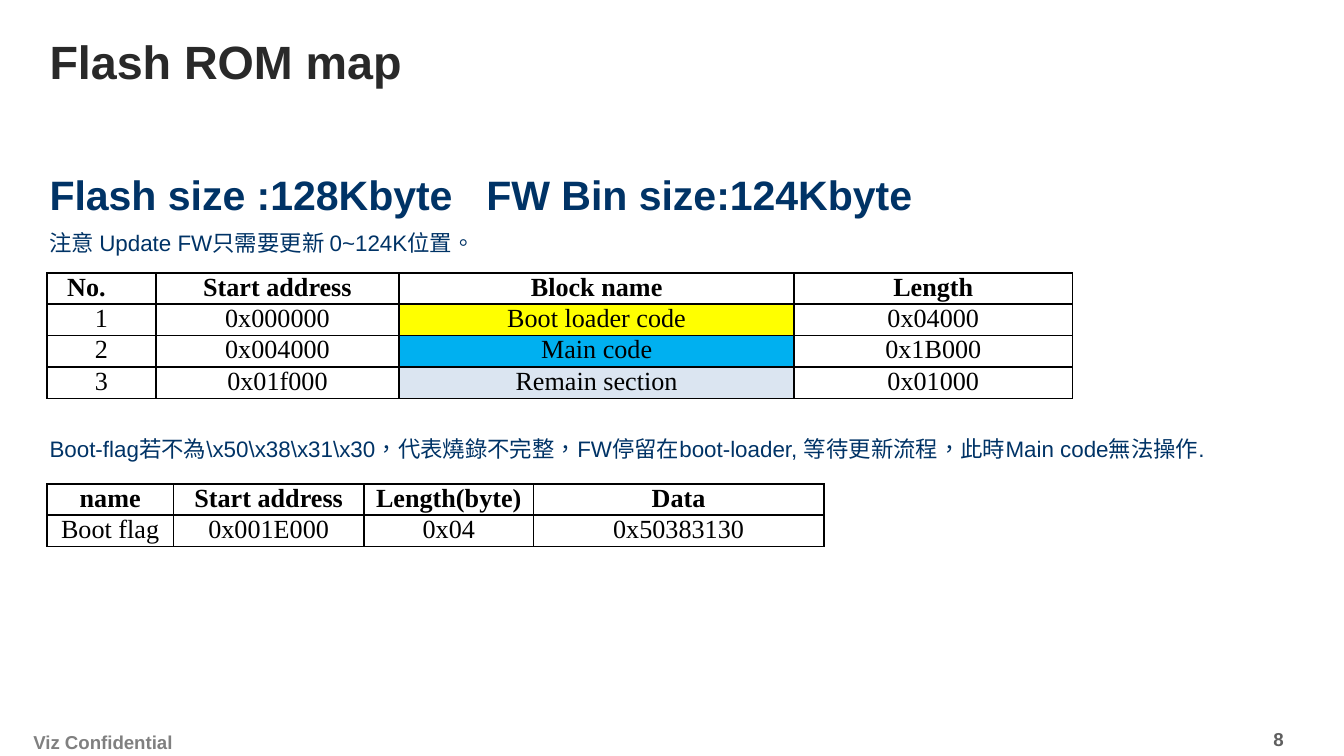
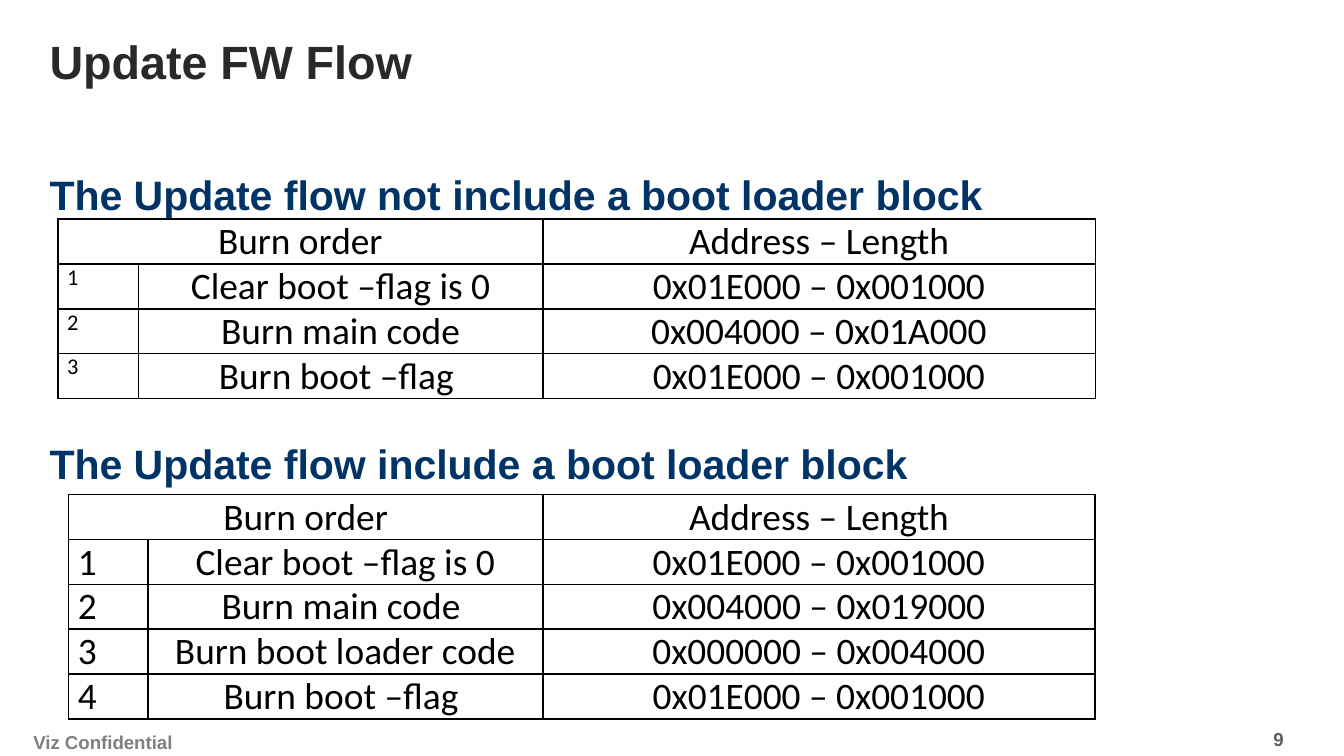
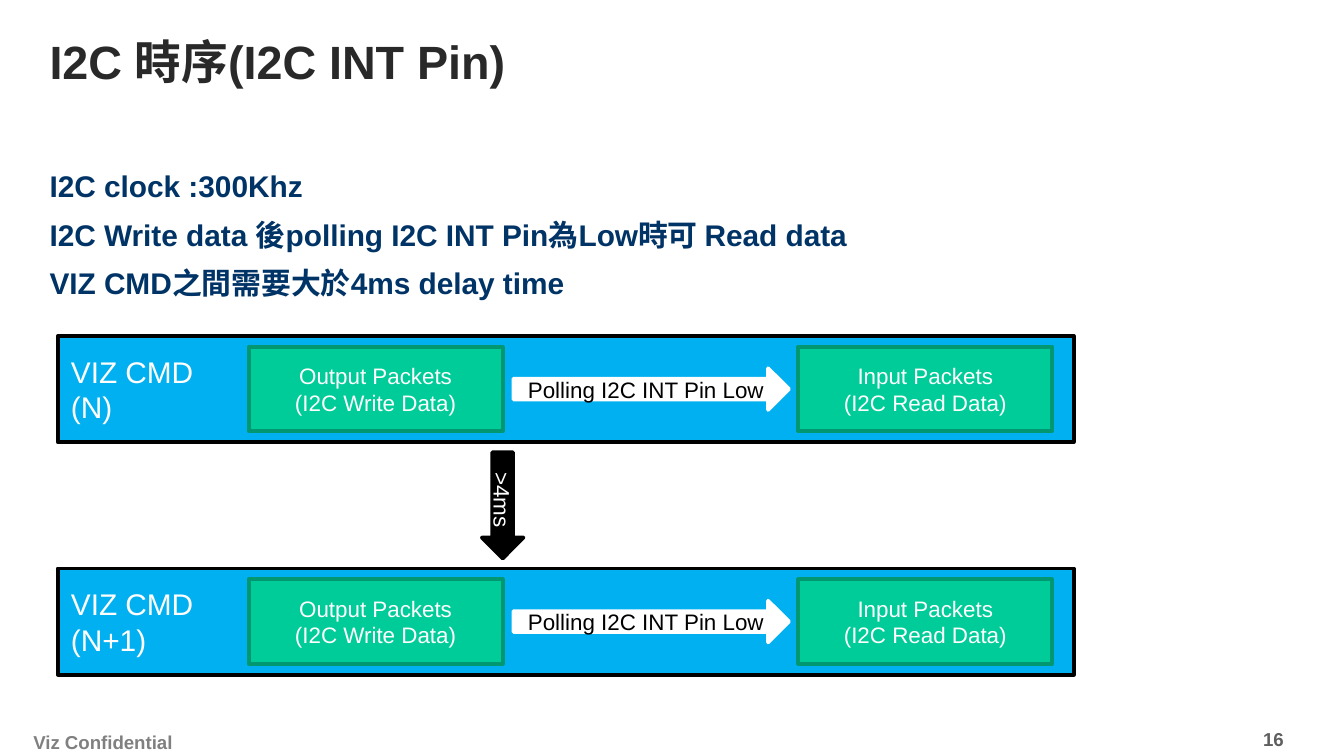
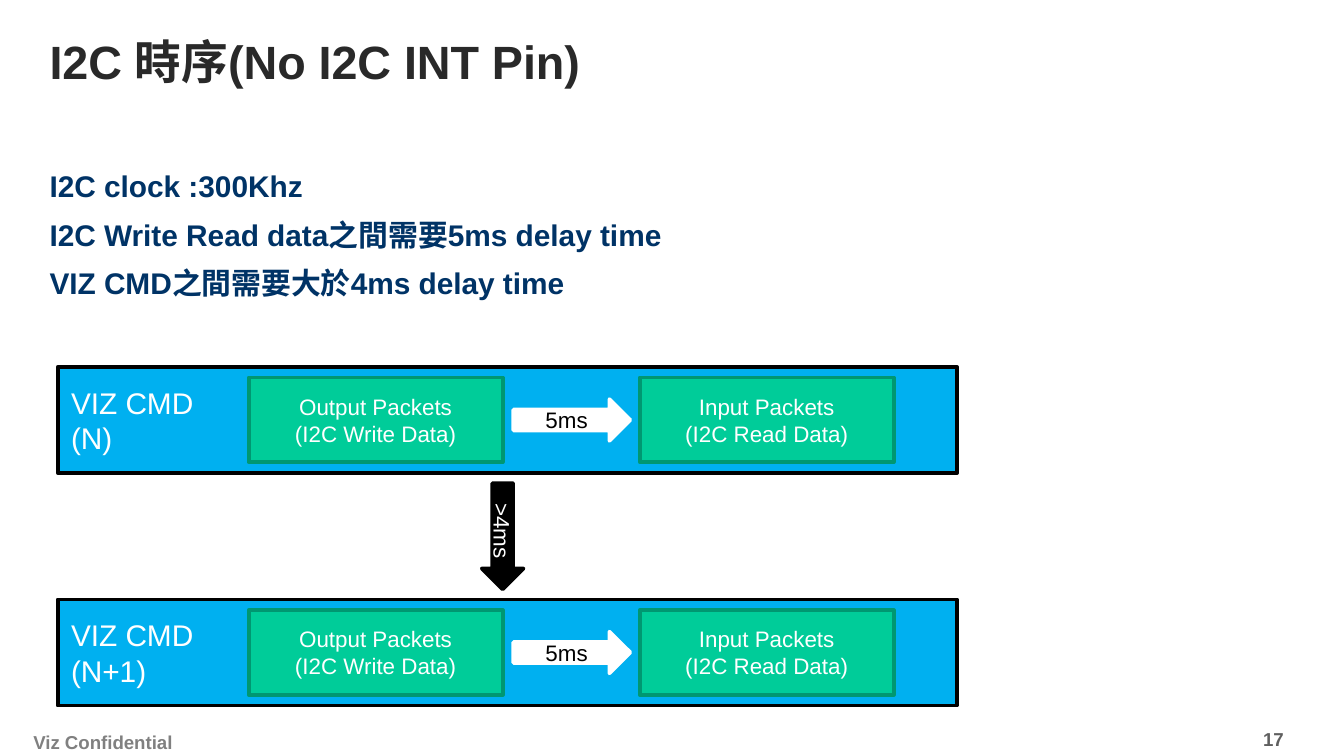
"""Build four slides on flash layout, firmware update order and I2C timing."""
from dataclasses import dataclass

from lxml.etree import SubElement
from pptx import Presentation
from pptx.dml.color import RGBColor
from pptx.enum.lang import MSO_LANGUAGE_ID
from pptx.enum.shapes import MSO_SHAPE
from pptx.enum.text import MSO_ANCHOR, MSO_AUTO_SIZE, PP_ALIGN
from pptx.oxml.ns import qn
from pptx.util import Inches, Pt


@dataclass(frozen=True)
class Theme:
    sans: str = "Arial"
    serif: str = "Times New Roman"
    grid: str = "Calibri"
    title: str = "292929"
    body: str = "003366"
    footer: str = "808080"
    number: str = "5F5F5F"
    black: str = "000000"
    white: str = "FFFFFF"
    band: str = "00B0F0"
    packet: str = "00CC99"
    packet_edge: str = "009771"
    yellow: str = "FFFF00"
    pale: str = "DBE5F1"
    title_size: int = 25
    heading_size: int = 22
    table_size: int = 20
    point_size: int = 16
    serif_size: int = 14
    note_size: int = 12
    footer_size: int = 10


THEME = Theme()
WIDTH = 10
HEIGHT = WIDTH * 9 / 16
FOOTER = "Viz Confidential"
LEFT, CENTER, RIGHT = PP_ALIGN.LEFT, PP_ALIGN.CENTER, PP_ALIGN.RIGHT

HEADING = dict(size=THEME.heading_size, bold=True)
NOTE = dict(size=THEME.note_size, bold=False)
POINT = dict(size=THEME.point_size, bold=True)

ADDRESS_STYLE = dict(font=THEME.serif, size=THEME.serif_size, bold_header=True)
ROM_TABLE = dict(
    ADDRESS_STYLE, at=(0.35, 2.03), height=0.93, columns=(0.81, 1.81, 2.94, 2.07),
    header_indent=0.08,
    fills={(1, 2): THEME.yellow, (2, 2): THEME.band, (3, 2): THEME.pale},
    rows=[
        ("No.", "Start address", "Block name", "Length"),
        ("1", "0x000000", "Boot loader code", "0x04000"),
        ("2", "0x004000", "Main code", "0x1B000"),
        ("3", "0x01f000", "Remain section", "0x01000"),
    ])
FLAG_TABLE = dict(
    ADDRESS_STYLE, at=(0.35, 3.6), height=0.47, columns=(0.94, 1.42, 1.26, 2.16),
    fills={(1, 2): THEME.white},
    rows=[
        ("name", "Start address", "Length(byte)", "Data"),
        ("Boot flag", "0x001E000", "0x04", "0x50383130"),
    ])
ORDER_STYLE = dict(font=THEME.grid, size=THEME.table_size, numbered=True)
ORDER_HEADER = ("Burn order", "", "Address – Length")
MAIN_ORDER = dict(
    ORDER_STYLE, at=(0.43, 1.63), height=1.33, columns=(0.6, 3.01, 4.11),
    number_size=THEME.note_size,
    rows=[
        ORDER_HEADER,
        ("1", "Clear boot –flag is 0", "0x01E000 – 0x001000"),
        ("2", "Burn main code", "0x004000 – 0x01A000"),
        ("3", "Burn boot –flag ", "0x01E000 – 0x001000"),
    ])
FULL_ORDER = dict(
    ORDER_STYLE, at=(0.51, 3.68), height=1.67, columns=(0.59, 2.94, 4.11),
    rows=[
        ORDER_HEADER,
        ("1", "Clear boot –flag is 0", "0x01E000 – 0x001000"),
        ("2", "Burn main code ", "0x004000 – 0x019000"),
        ("3", "Burn boot loader code", "0x000000 – 0x004000"),
        ("4", "Burn boot –flag ", "0x01E000 – 0x001000"),
    ])

SLIDES = [
    dict(number=8, title="Flash ROM map", body_height=4.08, tables=[ROM_TABLE, FLAG_TABLE],
         body=[
             dict(HEADING, text="Flash size :128Kbyte\tFW Bin size:124Kbyte", tab=3.25),
             dict(NOTE, text="注意 Update FW只需要更新 0~124K位置。"),
             dict(NOTE, before=94,
                  text=r"Boot-flag若不為\x50\x38\x31\x30，代表燒錄不完整，FW停留在boot-loader, "
                       "等待更新流程，此時Main code無法操作."),
         ]),
    dict(number=9, title="Update FW Flow", body_height=3.07, tables=[MAIN_ORDER, FULL_ORDER],
         body=[
             dict(HEADING, text="The Update flow not include a boot loader block"),
             dict(HEADING, text="The Update flow include a boot loader block", before=113.5),
         ]),
    dict(number=16, title="I2C 時序(I2C INT Pin)", body_height=1.1,
         flow=dict(top=2.5, width=7.56, wait="Polling I2C INT Pin Low", wait_width=2.05),
         body=[
             dict(POINT, text="I2C clock :300Khz"),
             dict(POINT, text="I2C Write data 後polling I2C INT Pin為Low時可 Read data"),
             dict(POINT, text="VIZ CMD之間需要大於4ms delay time"),
         ]),
    dict(number=17, title="I2C 時序(No I2C INT Pin)", body_height=1.1,
         flow=dict(top=2.73, width=6.69, wait="5ms", wait_width=0.87),
         body=[
             dict(POINT, text="I2C clock :300Khz"),
             dict(POINT, text="I2C Write Read data之間需要5ms delay time"),
             dict(POINT, text="VIZ CMD之間需要大於4ms delay time"),
         ]),
]

COMMANDS = ("N", "N+1")
BAND_LEFT, BAND_HEIGHT, BAND_PITCH = 0.43, 0.79, 1.73
PACKET_LEFT, PACKET_WIDTH, PACKET_HEIGHT = 1.85, 1.89, 0.63
ARROW_HEIGHT, OUTPUT_GAP, INPUT_GAP = 0.31, 0.08, 0.07


def write(para, text, size, color, font=THEME.sans, bold=False, align=LEFT):
    para.alignment = align
    span = para.add_run()
    span.text = text
    span.font.language_id = MSO_LANGUAGE_ID.TRADITIONAL_CHINESE
    for holder in (para, span):
        holder.font.name = font
        holder.font.size = Pt(size)
        holder.font.bold = bold
        holder.font.color.rgb = RGBColor.from_string(color)


def write_lines(frame, lines, size, color, align):
    for index, line in enumerate(lines):
        para = frame.add_paragraph() if index else frame.paragraphs[0]
        write(para, line, size, color, align=align)


def add_box(page, left, top, width, height, wrap=True):
    box = page.shapes.add_textbox(Inches(left), Inches(top), Inches(width), Inches(height))
    box.text_frame.word_wrap = wrap
    return box.text_frame


def add_frame(page, content):
    footer = add_box(page, 0.15, 5.39, 1.27, 0.27, wrap=False)
    footer.auto_size = MSO_AUTO_SIZE.SHAPE_TO_FIT_TEXT
    write(footer.paragraphs[0], FOOTER, THEME.footer_size, THEME.footer, bold=True)
    title = add_box(page, 0.27, 0.1, 7.88, 0.71)
    title.vertical_anchor = MSO_ANCHOR.MIDDLE
    write(title.paragraphs[0], content["title"], THEME.title_size, THEME.title, bold=True)
    number = add_box(page, 7.79, 5.37, 1.86, 0.27)
    write(number.paragraphs[0], str(content["number"]), THEME.footer_size, THEME.number,
          bold=True, align=RIGHT)


def add_body(page, content):
    frame = add_box(page, 0.27, 1.16, 9.45, content["body_height"])
    for index, line in enumerate(content["body"]):
        para = frame.add_paragraph() if index else frame.paragraphs[0]
        para.line_spacing = 1.15
        properties = para._p.get_or_add_pPr()
        if "before" in line:
            para.space_before = Pt(line["before"])
        else:
            before = SubElement(properties, qn("a:spcBef"))
            SubElement(before, qn("a:spcPct"), val="25000")
        if "tab" in line:
            stops = SubElement(properties, qn("a:tabLst"))
            SubElement(stops, qn("a:tab"), pos=str(Inches(line["tab"])), algn="l")
        write(para, line["text"], line["size"], THEME.body, bold=line["bold"])


def add_borders(cell):
    properties = cell._tc.get_or_add_tcPr()
    for side in ("lnL", "lnR", "lnT", "lnB"):
        line = SubElement(properties, qn(f"a:{side}"), w=str(Pt(1)))
        fill = SubElement(line, qn("a:solidFill"))
        SubElement(fill, qn("a:srgbClr"), val=THEME.black)


def add_grid(page, grid):
    rows, columns = grid["rows"], grid["columns"]
    left, top = grid["at"]
    numbered = grid.get("numbered", False)
    holder = page.shapes.add_table(
        len(rows), len(columns), Inches(left), Inches(top),
        Inches(sum(columns)), Inches(grid["height"]))
    table = holder.table
    table.first_row = table.horz_banding = False
    for column, width in zip(table.columns, columns):
        column.width = Inches(width)
    for r, row in enumerate(rows):
        table.rows[r].height = 0
        for c, text in enumerate(row):
            cell = table.cell(r, c)
            cell.margin_left = cell.margin_right = Inches(0.07)
            cell.margin_top = cell.margin_bottom = 0
            add_borders(cell)
            if (r, c) in grid.get("fills", {}):
                cell.fill.solid()
                cell.fill.fore_color.rgb = RGBColor.from_string(grid["fills"][r, c])
            else:
                cell.fill.background()
            indented = r == c == 0 and "header_indent" in grid
            if indented:
                cell.margin_left += Inches(grid["header_indent"])
            is_number = numbered and r > 0 and c == 0
            size = grid.get("number_size", grid["size"]) if is_number else grid["size"]
            if text:
                write(cell.text_frame.paragraphs[0], text, size, THEME.black, grid["font"],
                      bold=r == 0 and grid.get("bold_header", False),
                      align=LEFT if is_number or indented else CENTER)
    if numbered:
        table.cell(0, 0).merge(table.cell(0, 1))
    holder.height = Inches(grid["height"])


def add_block(page, kind, area, fill, edge, lines, size=THEME.note_size,
              color=THEME.white, align=CENTER):
    shape = page.shapes.add_shape(kind, *(Inches(length) for length in area))
    shape.shadow.inherit = False
    shape.fill.solid()
    shape.fill.fore_color.rgb = RGBColor.from_string(fill)
    shape.line.color.rgb = RGBColor.from_string(edge)
    shape.line.width = Pt(2)
    shape.text_frame.vertical_anchor = MSO_ANCHOR.MIDDLE
    write_lines(shape.text_frame, lines, size, color, align)
    return shape


def add_flow(page, flow):
    packet_right = PACKET_LEFT + PACKET_WIDTH
    wait_left = packet_right + OUTPUT_GAP
    input_left = wait_left + flow["wait_width"] + INPUT_GAP
    for index, command in enumerate(COMMANDS):
        top = flow["top"] + index * BAND_PITCH
        packet_top = top + (BAND_HEIGHT - PACKET_HEIGHT) / 2
        add_block(page, MSO_SHAPE.RECTANGLE, (BAND_LEFT, top, flow["width"], BAND_HEIGHT),
                  THEME.band, THEME.black, ("VIZ CMD", f"({command})"),
                  size=THEME.point_size, align=LEFT)
        for left, name, action in ((PACKET_LEFT, "Output", "Write"),
                                   (input_left, "Input", "Read")):
            add_block(page, MSO_SHAPE.RECTANGLE,
                      (left, packet_top, PACKET_WIDTH, PACKET_HEIGHT),
                      THEME.packet, THEME.packet_edge,
                      (f"{name} Packets", f"(I2C {action} Data)"))
        add_block(page, MSO_SHAPE.RIGHT_ARROW,
                  (wait_left, top + (BAND_HEIGHT - ARROW_HEIGHT) / 2,
                   flow["wait_width"], ARROW_HEIGHT),
                  THEME.white, THEME.white, (flow["wait"],), color=THEME.black)
    middle = flow["top"] + (BAND_HEIGHT + BAND_PITCH) / 2
    delay = add_block(page, MSO_SHAPE.RIGHT_ARROW,
                      (packet_right - BAND_HEIGHT / 2, middle - ARROW_HEIGHT / 2,
                       BAND_HEIGHT, ARROW_HEIGHT),
                      THEME.black, THEME.black, (">4ms",))
    delay.rotation = 90


def main():
    deck = Presentation()
    deck.slide_width, deck.slide_height = Inches(WIDTH), Inches(HEIGHT)
    for content in SLIDES:
        page = deck.slides.add_slide(deck.slide_layouts[6])
        add_frame(page, content)
        add_body(page, content)
        for grid in content.get("tables", []):
            add_grid(page, grid)
        if "flow" in content:
            add_flow(page, content["flow"])
    deck.save("out.pptx")


if __name__ == "__main__":
    main()
